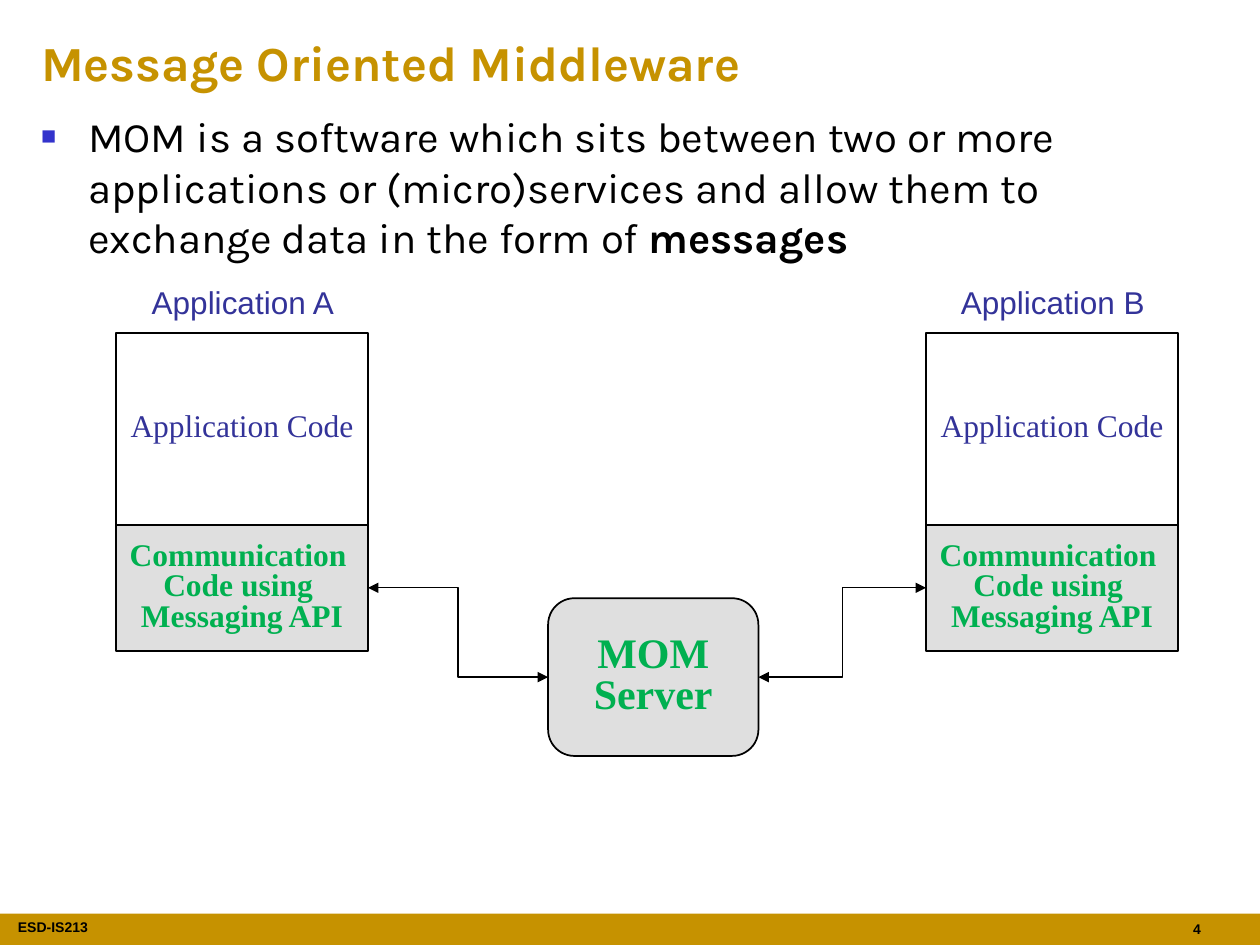
from lxml import etree
from pptx import Presentation
from pptx.dml.color import RGBColor
from pptx.enum.shapes import MSO_CONNECTOR, MSO_SHAPE
from pptx.enum.text import MSO_ANCHOR, PP_ALIGN
from pptx.oxml.ns import qn
from pptx.util import Cm, Pt

RECTANGLE, ROUNDED = MSO_SHAPE.RECTANGLE, MSO_SHAPE.ROUNDED_RECTANGLE
ELBOW = MSO_CONNECTOR.ELBOW
LEFT, CENTER, RIGHT = PP_ALIGN.LEFT, PP_ALIGN.CENTER, PP_ALIGN.RIGHT
TOP, MIDDLE = MSO_ANCHOR.TOP, MSO_ANCHOR.MIDDLE
LEFT_SITE, RIGHT_SITE = 1, 3
GOLD, BLACK, GREY = "C69200", "000000", "C0C0C0"
GREEN, INDIGO = "00B050", "333399"
SERIF = "Times New Roman"

deck = Presentation()
deck.slide_width, deck.slide_height = Cm(25.4), Cm(19.05)
page = deck.slides.add_slide(deck.slide_layouts[6])


def write(box, text, size, font="Arial", color=BLACK, bold=False, align=LEFT,
          anchor=TOP, spacing=None, wrap=True):
    """Put text into a box, one paragraph per line, and return its frame."""
    frame = box.text_frame
    frame.word_wrap = wrap
    frame.vertical_anchor = anchor
    frame.text = text
    for para in frame.paragraphs:
        para.alignment = align
        para.line_spacing = spacing
        style = para.runs[0].font
        style.name, style.size, style.bold = font, Pt(size), bold
        style.color.rgb = RGBColor.from_string(color)
    return frame


def add_block(kind, left, top, width, height, fill=None, alpha=None, line=BLACK):
    """Draw a preset shape with an optional see-through fill."""
    block = page.shapes.add_shape(kind, Cm(left), Cm(top), Cm(width), Cm(height))
    block.shadow.inherit = False
    if fill:
        block.fill.solid()
        block.fill.fore_color.rgb = RGBColor.from_string(fill)
    else:
        block.fill.background()
    if alpha:
        tint = block._element.spPr.find(".//" + qn("a:srgbClr"))
        etree.SubElement(tint, qn("a:alpha"), val=str(alpha * 1000))
    if line:
        block.line.color.rgb = RGBColor.from_string(line)
        block.line.width = Pt(1)
    else:
        block.line.fill.background()
    return block


# Footer band, course code and page number
add_block(RECTANGLE, 0, 18.42, 25.4, 0.63, fill=GOLD, line=None)
box = page.shapes.add_textbox(Cm(0.36), Cm(18.39), Cm(3.28), Cm(0.64))
frame = write(box, "ESD-IS213", 8, bold=True)
frame.margin_left = frame.margin_right = 0
box = page.shapes.add_textbox(Cm(23.47), Cm(18.44), Cm(0.99), Cm(0.61))
write(box, "4", 8, bold=True, align=RIGHT)

# Title
box = page.shapes.add_textbox(Cm(0.58), Cm(0.53), Cm(24.23), Cm(1.45))
write(box, "Message Oriented Middleware", 28, font="Karla", color=GOLD,
      bold=True, anchor=MIDDLE)

# Definition with a square bullet
box = page.shapes.add_textbox(Cm(0.58), Cm(2.11), Cm(24.18), Cm(3.18))
frame = write(box, "MOM is a software which sits between two or more applications "
              "or (micro)services and allow them to exchange data in the form of ",
              24, font="Karla")
para = frame.paragraphs[0]
para.space_before = Pt(4.8)
span = para.add_run()
span.text = "messages"
span.font.name, span.font.size, span.font.bold = "Karla", Pt(24), True
span.font.color.rgb = RGBColor.from_string(BLACK)
props = para._p.get_or_add_pPr()
props.set("marL", str(Cm(0.95)))
props.set("indent", str(-Cm(0.95)))
bullet_color = etree.SubElement(props, qn("a:buClr"))
etree.SubElement(bullet_color, qn("a:srgbClr"), val="3333CC")
etree.SubElement(props, qn("a:buSzPct"), val="60000")
etree.SubElement(props, qn("a:buFont"), typeface="Arial")
etree.SubElement(props, qn("a:buChar"), char="■")

# Message server
diagram_text = dict(align=CENTER, spacing=0.8, wrap=False)
server = add_block(ROUNDED, 11.05, 12.06, 4.24, 3.18, fill=GREY, alpha=50)
server.adjustments[0] = 0.167
write(server, "MOM\nServer", 24, font=SERIF, color=GREEN, bold=True,
      anchor=MIDDLE, **diagram_text)

# Two applications, each joined to the server
for name, left, app_site, server_site in (
    ("Application A", 2.34, RIGHT_SITE, LEFT_SITE),
    ("Application B", 18.67, LEFT_SITE, RIGHT_SITE),
):
    box = page.shapes.add_textbox(Cm(left + 0.43), Cm(5.72), Cm(4.25), Cm(0.86))
    write(box, name, 18, color=INDIGO, **diagram_text)
    code = add_block(RECTANGLE, left, 6.71, 5.08, 3.87)
    write(code, "Application Code", 18, font=SERIF, color=INDIGO,
          anchor=MIDDLE, **diagram_text)
    messaging = add_block(RECTANGLE, left, 10.58, 5.08, 2.54, fill=GREY, alpha=50)
    write(messaging, "Communication \nCode using \nMessaging API", 18, font=SERIF,
          color=GREEN, bold=True, anchor=MIDDLE, **diagram_text)

    link = page.shapes.add_connector(ELBOW, 0, 0, 0, 0)
    link.begin_connect(messaging, app_site)
    link.end_connect(server, server_site)
    link.line.color.rgb = RGBColor.from_string(BLACK)
    link.line.width = Pt(0.75)
    for end in ("a:headEnd", "a:tailEnd"):
        etree.SubElement(link.line._get_or_add_ln(), qn(end), type="triangle")
    etree.SubElement(link._element.spPr, qn("a:effectLst"))

deck.save("out.pptx")
